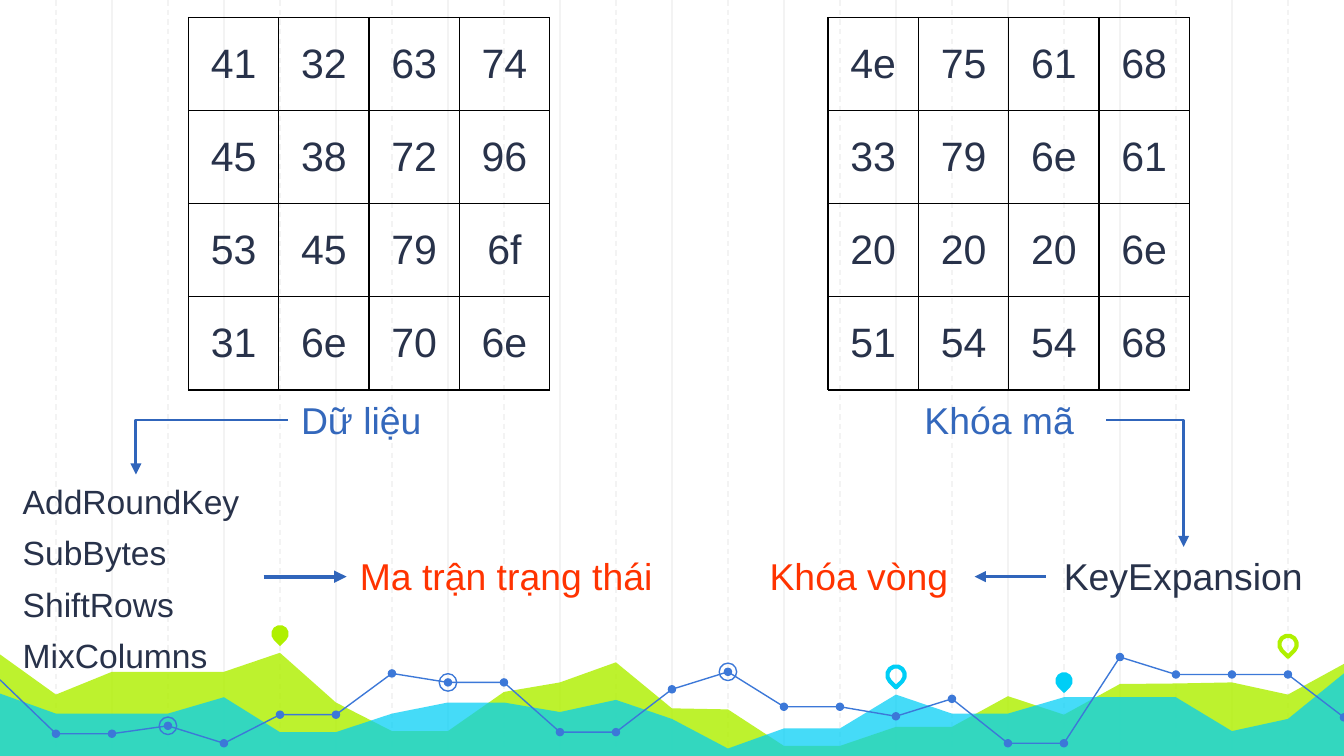
from lxml.etree import SubElement
from pptx import Presentation
from pptx.dml.color import RGBColor
from pptx.enum.dml import MSO_LINE
from pptx.enum.shapes import MSO_CONNECTOR as CONN, MSO_SHAPE as SHAPE
from pptx.enum.text import MSO_ANCHOR, PP_ALIGN as ALIGN
from pptx.oxml.ns import qn
from pptx.util import Cm, Pt

GRID = RGBColor(0xF3, 0xF3, 0xF3)
LIME = RGBColor(0xAF, 0xF0, 0x00)
CYAN = RGBColor(0x00, 0xCE, 0xF6)
BLUE = RGBColor(0x3C, 0x78, 0xD8)
ARROW = RGBColor(0x30, 0x65, 0xBB)
LABEL = RGBColor(0x34, 0x68, 0xBC)
NAVY = RGBColor(0x28, 0x32, 0x4A)
RED = RGBColor(0xFF, 0x33, 0x00)

WIDTH, HEIGHT = 25.4, 14.29
STEPS = 24

LIME_HILLS = [0.37, 1.13, 0.7, 0.7, 0.7, 0.34, 1.28, 1.82, 1.82, 1.08, 0.9, 0.52, 1.39,
              1.41, 2.1, 2.1, 1.74, 1.74, 1.16, 1.51, 0.93, 0.92, 0.9, 1.13, 0.55]
CYAN_HILLS = [1.11, 1.49, 1.49, 1.49, 1.18, 1.84, 1.84, 1.49, 1.28, 1.28, 1.46, 1.23, 1.59,
              2.15, 1.77, 1.77, 1.13, 1.49, 1.49, 1.18, 1.18, 1.18, 1.82, 1.59, 0.73]
TREND = [0.85, 1.87, 1.87, 1.72, 2.05, 1.51, 1.51, 0.73, 0.9, 0.9, 1.84, 1.84, 1.03,
         0.7, 1.36, 1.36, 1.54, 1.21, 2.05, 2.05, 0.42, 0.75, 0.75, 0.75, 1.56]
RINGS = [3, 8, 13]
PINS = [(5, -0.02, LIME, True), (16, 0.76, CYAN, False),
        (19, 0.87, CYAN, True), (23, 0.18, LIME, False)]

DATA = ["41 32 63 74", "45 38 72 96", "53 45 79 6f", "31 6e 70 6e"]
KEY = ["4e 75 61 68", "33 79 6e 61", "20 20 20 6e", "51 54 54 68"]
STEPS_TEXT = "AddRoundKey\nSubBytes\nShiftRows\nMixColumns"


def paint(sp, fill=None, line=None, width=0.75):
    """Set the fill and outline of a shape, and drop its shadow."""
    sp.shadow.inherit = False
    if fill is None:
        sp.fill.background()
    else:
        sp.fill.solid()
        sp.fill.fore_color.rgb = fill
    if line is None:
        sp.line.fill.background()
    else:
        sp.line.color.rgb = line
        sp.line.width = Pt(width)


def add_line(slide, start, end, color, width, kind=CONN.STRAIGHT, arrow=False):
    """Draw a connector between two points, with an optional arrowhead."""
    sp = slide.shapes.add_connector(kind, *map(Cm, start + end))
    sp.line.color.rgb = color
    sp.line.width = Pt(width)
    spPr = sp._element.spPr
    if kind == CONN.ELBOW:
        spPr.find(qn("a:prstGeom")).set("prst", "bentConnector2")
    if arrow:
        SubElement(spPr.find(qn("a:ln")), qn("a:tailEnd"), type="triangle")
    SubElement(spPr, qn("a:effectLst"))
    return sp


def add_spot(slide, kind, x, y, size, **style):
    """Place a small shape centred on a point."""
    sp = slide.shapes.add_shape(kind, Cm(x - size / 2), Cm(y - size / 2), Cm(size), Cm(size))
    paint(sp, **style)
    return sp


def add_outline(slide, points, close):
    """Build a freeform through the given points."""
    pts = [(Cm(x), Cm(y)) for x, y in points]
    fb = slide.shapes.build_freeform(*pts[0])
    fb.add_line_segments(pts[1:], close=close)
    return fb.convert_to_shape()


def add_grid(slide, left, top, width, height):
    """Rule the background with alternating dashed and solid lines."""
    for i in range(1, STEPS):
        x = left + i * width / STEPS
        sp = add_line(slide, (x, top), (x, top + height), GRID, 0.75)
        if i % 2:
            sp.line.dash_style = MSO_LINE.DASH


def add_landscape(slide, left, top, width, height):
    """Draw the hills, pins and trend line along the bottom."""
    def place(levels):
        return [(left + i * width / STEPS, top + y) for i, y in enumerate(levels)]

    base = [(left + width, top + height), (left, top + height)]
    for levels, color, alpha in ((LIME_HILLS, LIME, 82), (CYAN_HILLS, CYAN, 73)):
        sp = add_outline(slide, place(levels) + base, True)
        paint(sp, fill=color)
        clr = sp._element.spPr.find(qn("a:solidFill"))[0]
        SubElement(clr, qn("a:alpha"), val=str(alpha * 1000))
    for i, y, color, solid in PINS:
        style = {"fill": color} if solid else {"line": color, "width": 2.25}
        x = left + i * width / STEPS
        add_spot(slide, SHAPE.TEAR, x, top + y, 0.33, **style).rotation = 135
    points = place(TREND)
    paint(add_outline(slide, points, False), line=BLUE)
    for x, y in points[1:]:
        add_spot(slide, SHAPE.OVAL, x, y, 0.16, fill=BLUE)
    for i in RINGS:
        add_spot(slide, SHAPE.OVAL, *points[i], 0.33, line=BLUE)


def format_text(p, size, color, align):
    """Format a paragraph and its runs."""
    p.alignment = align
    for r in p.runs:
        r.font.name = "Arial"
        r.font.size = Pt(size)
        r.font.color.rgb = color


def add_matrix(slide, left, top, width, height, rows):
    """Lay out a matrix of bytes as a bordered table."""
    n = len(rows)
    frame = slide.shapes.add_table(n, n, Cm(left), Cm(top), Cm(width), Cm(height))
    table = frame.table
    table.first_row = table.horz_banding = False
    for i, row in enumerate(rows):
        for j, value in enumerate(row.split()):
            cell = table.cell(i, j)
            cell.text_frame.text = value
            cell.vertical_anchor = MSO_ANCHOR.MIDDLE
            format_text(cell.text_frame.paragraphs[0], 22, NAVY, ALIGN.CENTER)
            tcPr = cell._tc.get_or_add_tcPr()
            for side in ("a:lnL", "a:lnR", "a:lnT", "a:lnB"):
                ln = SubElement(tcPr, qn(side), w=str(Pt(0.75)))
                SubElement(SubElement(ln, qn("a:solidFill")), qn("a:srgbClr"), val="000000")
            cell.fill.background()


def add_label(slide, left, top, width, height, text, color, size=20,
              align=ALIGN.LEFT, before=0):
    """Add a text box with one paragraph per line of text."""
    sp = slide.shapes.add_textbox(Cm(left), Cm(top), Cm(width), Cm(height))
    tf = sp.text_frame
    tf.word_wrap = True
    tf.text = text
    for p in tf.paragraphs:
        p.space_before = Pt(before)
        format_text(p, size, color, align)


def add_data_flow(slide, left, top):
    """Place the data matrix and the steps that lead to the state matrix."""
    add_matrix(slide, left + 3.56, top, 6.83, 7.04, DATA)
    add_label(slide, left + 5.44, top + 7.06, 3.02, 1.12, "Dữ liệu", LABEL)
    add_label(slide, left + 0.18, top + 8.64, 4.8, 3.86, STEPS_TEXT, NAVY, 18, before=5.8)
    add_label(slide, left + 6.55, top + 10.01, 6.15, 1.12, "Ma trận trạng thái", RED)
    add_line(slide, (left + 4.98, top + 10.57), (left + 6.55, top + 10.57), ARROW, 2.25,
             arrow=True)
    add_line(slide, (left + 5.44, top + 7.61), (left + 2.57, top + 8.64), ARROW, 1.5,
             CONN.ELBOW, True)


def add_key_flow(slide, left, top):
    """Place the key matrix and the expansion that leads to the round key."""
    add_matrix(slide, left + 1.6, top, 6.83, 7.04, KEY)
    add_label(slide, left + 3.17, top + 7.06, 3.71, 1.12, "Khóa mã", LABEL)
    add_label(slide, left + 5.71, top + 10.01, 5.21, 1.12, "KeyExpansion", NAVY,
              align=ALIGN.CENTER, before=5)
    add_label(slide, left, top + 10.01, 4.37, 1.12, "Khóa vòng", RED, align=ALIGN.CENTER)
    add_line(slide, (left + 5.71, top + 10.57), (left + 4.37, top + 10.57), ARROW, 1.5,
             arrow=True)
    add_line(slide, (left + 6.86, top + 7.61), (left + 8.32, top + 10.01), ARROW, 1.5,
             CONN.ELBOW, True)


def main():
    """Build and save the slide."""
    prs = Presentation()
    prs.slide_width, prs.slide_height = Cm(WIDTH), Cm(HEIGHT)
    slide = prs.slides.add_slide(prs.slide_layouts[6])
    add_grid(slide, 0, 0, WIDTH, HEIGHT)
    add_landscape(slide, 0, 12, WIDTH, HEIGHT - 12)
    add_data_flow(slide, 0, 0.33)
    add_key_flow(slide, 14.05, 0.33)
    prs.save("out.pptx")


main()
